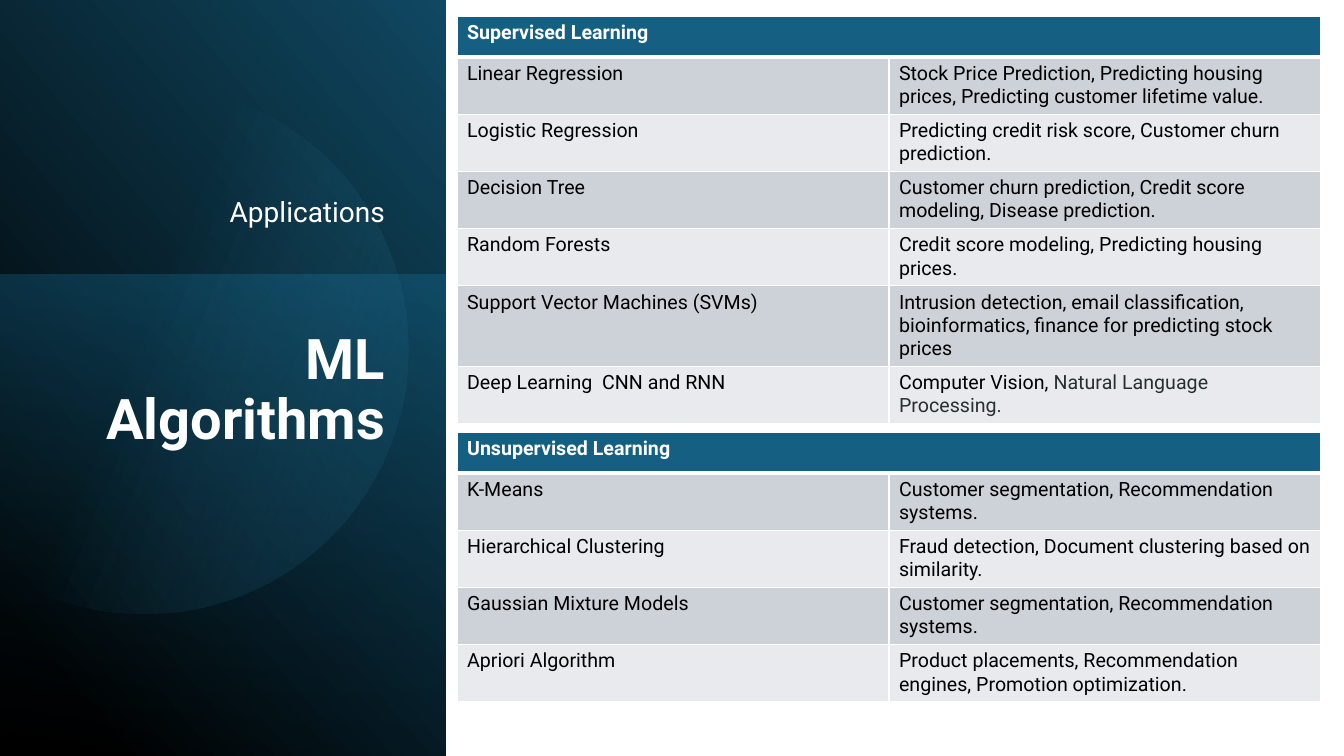
"""Build a slide of machine learning methods and their uses."""
import math
from dataclasses import dataclass

import lxml.etree
import pptx
import pptx.dml.color
import pptx.dml.fill
import pptx.enum.shapes
import pptx.enum.text
import pptx.oxml.ns
import pptx.slide
import pptx.table
import pptx.text.text
import pptx.util

SCALE = 12192000 / 1344


@dataclass(frozen=True)
class Theme:
    font: str = "Roboto"
    white: str = "FFFFFF"
    black: str = "000000"
    gray: str = "272F31"
    head: str = "156082"
    odd: str = "CCD2D8"
    even: str = "E8EAED"
    deep: str = "104862"
    navy: str = "0B3041"
    sky: str = "46B1E1"
    title: int = 40
    sub: int = 20
    body: int = 14


@dataclass(frozen=True)
class Stop:
    place: float
    color: str
    alpha: int = 100


@dataclass(frozen=True)
class Blend:
    start: Stop
    end: Stop
    angle: int


@dataclass(frozen=True)
class Panel:
    top: int
    height: int
    blend: Blend


@dataclass(frozen=True)
class Label:
    text: str
    left: int
    top: int
    width: int
    height: int
    size: int
    bold: bool
    anchor: pptx.enum.text.MSO_ANCHOR
    before: int


@dataclass(frozen=True)
class Method:
    name: str
    uses: str
    more: str = ""


@dataclass(frozen=True)
class Group:
    title: str
    top: int
    height: int
    methods: tuple[Method, ...]


LOOK = Theme()
WIDTH = 446
PANELS = (
    Panel(0, 758, Blend(Stop(0.11, LOOK.black), Stop(1, LOOK.deep), 320)),
    Panel(275, 481, Blend(Stop(0, LOOK.head, 50), Stop(1, LOOK.navy, 0), 100)),
)
GLOW = Blend(Stop(0.39, LOOK.sky, 0), Stop(1, LOOK.deep, 26), 22)
LABELS = (
    Label("ML Algorithms", 58, 326, 337, 389, LOOK.title, True,
          pptx.enum.text.MSO_ANCHOR.TOP, 0),
    Label("Applications", 86, 82, 309, 152, LOOK.sub, False,
          pptx.enum.text.MSO_ANCHOR.BOTTOM, 10),
)
GROUPS = (
    Group("Supervised Learning", 16, 391, (
        Method("Linear Regression", "Stock Price Prediction, Predicting housing prices, "
               "Predicting customer lifetime value."),
        Method("Logistic Regression", "Predicting credit risk score, Customer churn prediction."),
        Method("Decision Tree", "Customer churn prediction, Credit score modeling, "
               "Disease prediction."),
        Method("Random Forests", "Credit score modeling, Predicting housing prices."),
        Method("Support Vector Machines (SVMs)", "Intrusion detection, email classification, "
               "bioinformatics, finance for predicting stock prices"),
        Method("Deep Learning  CNN and RNN", "Computer Vision, ",
               "Natural Language Processing."),
    )),
    Group("Unsupervised Learning", 432, 269, (
        Method("K-Means", "Customer segmentation, Recommendation systems."),
        Method("Hierarchical Clustering",
               "Fraud detection, Document clustering based on similarity."),
        Method("Gaussian Mixture Models", "Customer segmentation, Recommendation systems."),
        Method("Apriori Algorithm", "Product placements, Recommendation engines, "
               "Promotion optimization."),
    )),
)


def px(count: float) -> pptx.util.Emu:
    """Turn px into EMU."""
    return pptx.util.Emu(round(count * SCALE))


def tint(code: str) -> pptx.dml.color.RGBColor:
    """Give the colour of a hex code."""
    return pptx.dml.color.RGBColor.from_string(code)


def shade(fill: pptx.dml.fill.FillFormat, blend: Blend) -> None:
    """Fill with a blend of two colours."""
    fill.gradient()
    fill.gradient_angle = 360 - blend.angle
    for stop, part in zip(fill.gradient_stops, (blend.start, blend.end)):
        stop.position = part.place
        stop.color.rgb = tint(part.color)
        if part.alpha < 100:
            node = stop._gs.find(pptx.oxml.ns.qn("a:srgbClr"))
            lxml.etree.SubElement(node, pptx.oxml.ns.qn("a:alpha"), val=str(part.alpha * 1000))


def add_panel(slide: pptx.slide.Slide, panel: Panel) -> None:
    """Draw one panel at the left edge."""
    shape = slide.shapes.add_shape(pptx.enum.shapes.MSO_SHAPE.RECTANGLE, 0, px(panel.top),
                                   px(WIDTH), px(panel.height))
    shape.shadow.inherit = False
    shape.line.fill.background()
    shade(shape.fill, panel.blend)


def add_glow(slide: pptx.slide.Slide) -> None:
    """Draw the disc that the left edge cuts off."""
    mid_x, mid_y, radius, steps = 144, 349, 264, 120
    limit = math.acos(-mid_x / radius)
    turns = [limit * (2 * step / steps - 1) for step in range(steps + 1)]
    points = [(px(mid_x + radius * math.cos(turn)), px(mid_y + radius * math.sin(turn)))
              for turn in turns]
    pen = slide.shapes.build_freeform(*points[0])
    pen.add_line_segments(points[1:], close=True)
    shape = pen.convert_to_shape()
    shape.shadow.inherit = False
    shape.line.fill.background()
    shade(shape.fill, GLOW)


def add_run(line: pptx.text.text._Paragraph, text: str, size: int, color: str,
            bold: bool = False) -> None:
    """Add one styled run."""
    run = line.add_run()
    run.text = text
    run.font.name = LOOK.font
    run.font.size = pptx.util.Pt(size)
    run.font.bold = bold
    run.font.color.rgb = tint(color)


def add_label(slide: pptx.slide.Slide, label: Label) -> None:
    """Place one line of panel text."""
    frame = slide.shapes.add_textbox(px(label.left), px(label.top), px(label.width),
                                     px(label.height)).text_frame
    frame.word_wrap = True
    frame.vertical_anchor = label.anchor
    line = frame.paragraphs[0]
    line.alignment = pptx.enum.text.PP_ALIGN.RIGHT
    line.line_spacing = 0.9
    line.space_before = pptx.util.Pt(label.before)
    add_run(line, label.text, label.size, LOOK.white, label.bold)


def style(cell: pptx.table._Cell, color: str, top: int = 1, bottom: int = 1) -> None:
    """Set the borders and fill of a cell."""
    props = cell._tc.get_or_add_tcPr()
    for side, width in (("L", 1), ("R", 1), ("T", top), ("B", bottom)):
        edge = lxml.etree.SubElement(props, pptx.oxml.ns.qn(f"a:ln{side}"),
                                     w=str(pptx.util.Pt(width)))
        solid = lxml.etree.SubElement(edge, pptx.oxml.ns.qn("a:solidFill"))
        lxml.etree.SubElement(solid, pptx.oxml.ns.qn("a:srgbClr"), val=LOOK.white)
    cell.fill.solid()
    cell.fill.fore_color.rgb = tint(color)


def add_group(slide: pptx.slide.Slide, group: Group) -> None:
    """Draw one table of methods."""
    frame = slide.shapes.add_table(len(group.methods) + 1, 2, px(457), px(group.top),
                                   px(864), px(group.height))
    table = frame.table
    for row in table.rows:
        row.height = px(41)
    frame.height = px(group.height)
    head = table.cell(0, 0)
    head.merge(table.cell(0, 1))
    for cell in table.rows[0].cells:
        style(cell, LOOK.head, bottom=3)
    add_run(head.text_frame.paragraphs[0], group.title, LOOK.body, LOOK.white, True)
    for index, method in enumerate(group.methods, 1):
        for column, text in enumerate((method.name, method.uses)):
            cell = table.cell(index, column)
            style(cell, LOOK.odd if index % 2 else LOOK.even, top=3 if index == 1 else 1)
            add_run(cell.text_frame.paragraphs[0], text, LOOK.body, LOOK.black)
        if method.more:
            add_run(cell.text_frame.paragraphs[0], method.more, LOOK.body, LOOK.gray)


def main() -> None:
    """Build and save the slide."""
    deck = pptx.Presentation()
    deck.slide_width, deck.slide_height = px(1344), px(756)
    slide = deck.slides.add_slide(deck.slide_layouts[6])
    for panel in PANELS:
        add_panel(slide, panel)
    add_glow(slide)
    for label in LABELS:
        add_label(slide, label)
    for group in GROUPS:
        add_group(slide, group)
    deck.save("out.pptx")


if __name__ == "__main__":
    main()
